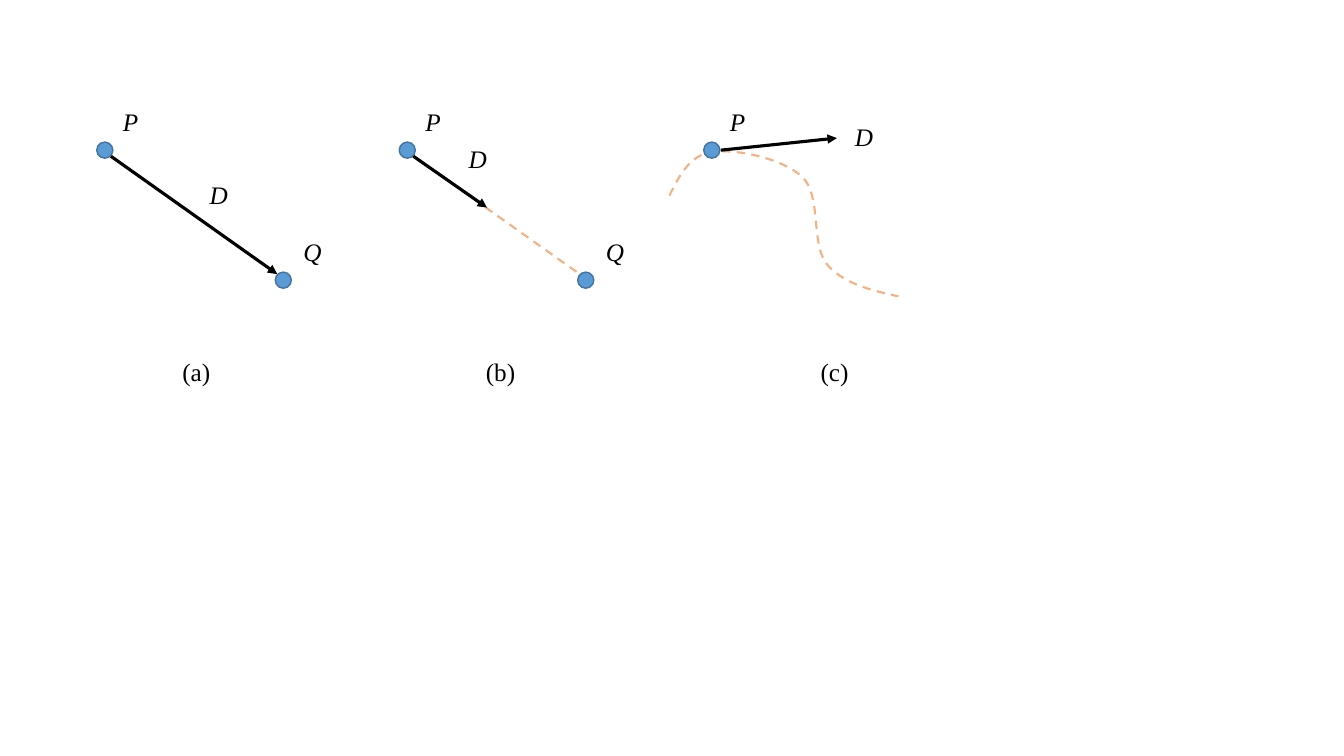
from lxml import etree
from pptx import Presentation
from pptx import util as u
from pptx.dml import color
from pptx.enum import dml, shapes, text
from pptx.oxml import ns

DOT, ROW_P, ROW_Q = 0.16, 1.41, 2.7
Q_SHIFT = 1.77
P_EXIT, Q_ENTRY = (0.14, 1.55), (1.79, 2.72)
LABEL_SIZE, CAPTION_SIZE, CAPTION_TOP = (0.35, 0.4), (0.89, 0.4), 3.49

PANELS = [
    {"left": 0.96, "caption": ("(a)", 0.75), "has_q": True, "dashed": False,
     "start": P_EXIT, "tip": Q_ENTRY, "d_label": (1.02, 1.73)},
    {"left": 3.96, "caption": ("(b)", 0.76), "has_q": True, "dashed": True,
     "start": P_EXIT, "tip": (0.87, 2.06), "d_label": (0.59, 1.37)},
    {"left": 6.98, "caption": ("(c)", 1.06), "has_q": False, "dashed": False,
     "start": (0.17, 1.49), "tip": (1.32, 1.37), "d_label": (1.4, 1.15)},
]
CURVE_START = (6.64, 1.94)
CURVE_PIECES = [
    ((6.74, 1.74), (6.84, 1.54), (7.06, 1.51)),
    ((7.28, 1.47), (7.77, 1.57), (7.96, 1.76)),
    ((8.15, 1.94), (8.04, 2.42), (8.2, 2.62)),
    ((8.36, 2.81), (8.63, 2.88), (8.91, 2.94)),
]
CURVE_STEPS = 16

OUTLINE = {"color": "43739E", "width": u.Pt(1)}
ARROW = {"color": "000000", "width": u.Pt(2.25)}
TRAIL = {"color": "F4B183", "width": u.Pt(1.5),
         "dash_style": dml.MSO_LINE.DASH}
FRAME = {"word_wrap": True, "auto_size": text.MSO_AUTO_SIZE.SHAPE_TO_FIT_TEXT}
FONT = {"name": "Times New Roman", "size": u.Pt(18)}


def apply(target, values):
    for name, value in values.items():
        setattr(target, name, value)


def paint(fill, hex_color):
    fill.solid()
    fill.fore_color.rgb = color.RGBColor.from_string(hex_color)


def stroke(line, style):
    paint(line.fill, style["color"])
    apply(line, {k: v for k, v in style.items() if k != "color"})


def add_dot(slide, left, top):
    dot = slide.shapes.add_shape(
        shapes.MSO_SHAPE.OVAL, *map(u.Inches, (left, top, DOT, DOT)))
    dot.shadow.inherit = False
    paint(dot.fill, "5B9BD5")
    stroke(dot.line, OUTLINE)


def add_label(slide, wording, left, top, size=LABEL_SIZE, italic=True):
    frame = slide.shapes.add_textbox(
        *map(u.Inches, (left, top, *size))).text_frame
    apply(frame, FRAME)
    run = frame.paragraphs[0].add_run()
    run.text = wording
    apply(run.font, {**FONT, "italic": italic})
    paint(run.font.fill, "000000")


def add_line(slide, left, start, end, style, arrowhead=False):
    ends = (left + start[0], start[1], left + end[0], end[1])
    line = slide.shapes.add_connector(
        shapes.MSO_CONNECTOR.STRAIGHT, *map(u.Inches, ends))
    stroke(line.line, style)
    if arrowhead:
        etree.SubElement(line.line._get_or_add_ln(), ns.qn("a:tailEnd"),
                         type="triangle")
    etree.SubElement(line._element.spPr, ns.qn("a:effectLst"))


def curve_points():
    start = CURVE_START
    for near, far, end in CURVE_PIECES:
        for step in range(1, CURVE_STEPS + 1):
            t = step / CURVE_STEPS
            weights = ((1 - t) ** 3, 3 * t * (1 - t) ** 2,
                       3 * t ** 2 * (1 - t), t ** 3)
            yield tuple(
                u.Inches(sum(w * p for w, p in zip(weights, axis)))
                for axis in zip(start, near, far, end))
        start = end


def add_curve(slide):
    builder = slide.shapes.build_freeform(*map(u.Inches, CURVE_START))
    builder.add_line_segments(curve_points(), close=False)
    curve = builder.convert_to_shape()
    curve.shadow.inherit = False
    curve.fill.background()
    stroke(curve.line, TRAIL)


def add_panel(slide, panel):
    left = panel["left"]
    add_dot(slide, left, ROW_P)
    add_label(slide, "P", left + 0.16, ROW_P - 0.4)
    if panel["has_q"]:
        add_dot(slide, left + Q_SHIFT, ROW_Q)
        add_label(slide, "Q", left + Q_SHIFT + 0.18, ROW_Q - 0.4)
    if panel["dashed"]:
        add_line(slide, left, P_EXIT, Q_ENTRY, TRAIL)
    add_line(slide, left, panel["start"], panel["tip"], ARROW, arrowhead=True)
    d_shift, d_top = panel["d_label"]
    add_label(slide, "D", left + d_shift, d_top)
    wording, shift = panel["caption"]
    add_label(slide, wording, left + shift, CAPTION_TOP, CAPTION_SIZE, False)


def main():
    deck = Presentation()
    apply(deck, {"slide_width": u.Inches(13.33), "slide_height": u.Inches(7.5)})
    slide = deck.slides.add_slide(deck.slide_layouts[6])
    add_curve(slide)
    for panel in PANELS:
        add_panel(slide, panel)
    deck.save("out.pptx")


if __name__ == "__main__":
    main()
